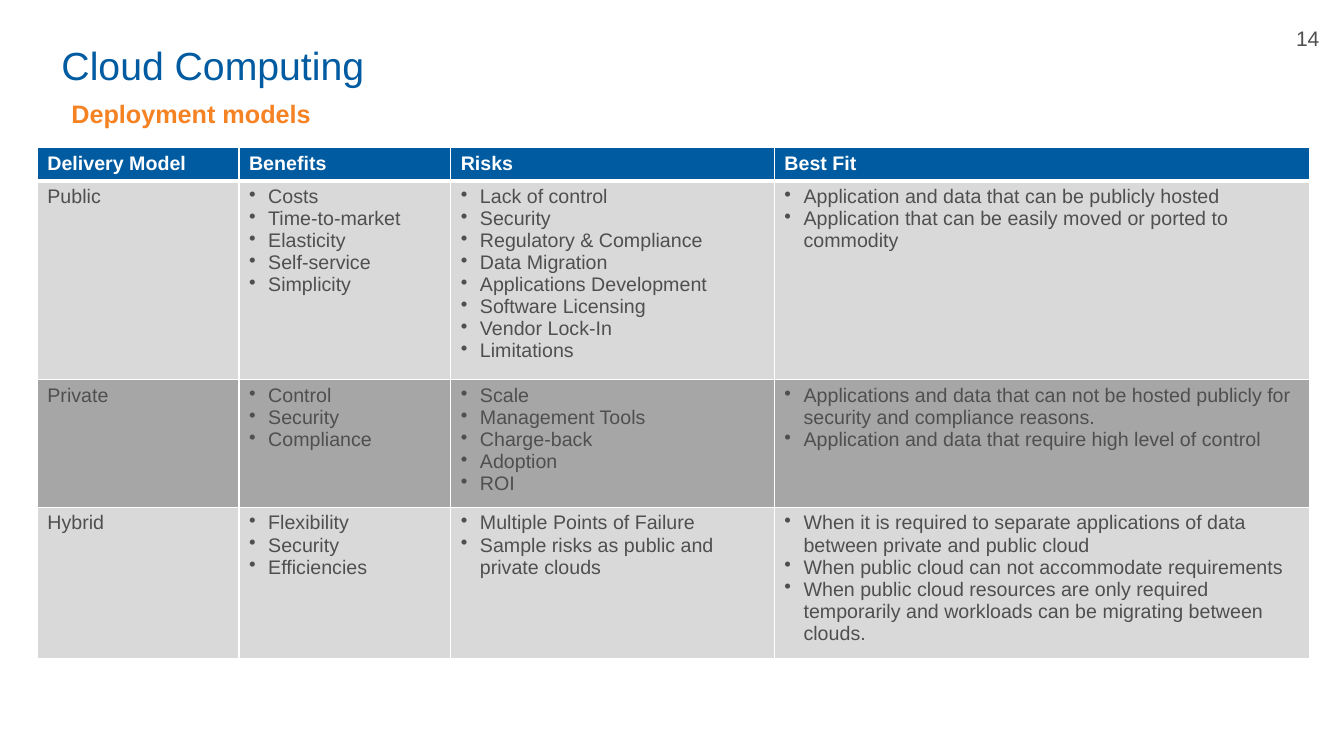
from dataclasses import dataclass

from lxml.etree import SubElement
from pptx import Presentation
from pptx.dml.color import RGBColor
from pptx.enum.text import MSO_ANCHOR as Anchor, MSO_AUTO_SIZE as AutoSize, PP_ALIGN as Align
from pptx.oxml.ns import qn
from pptx.util import Inches, Pt


@dataclass(frozen=True)
class Theme:
    font: str = "Arial"
    blue: str = "005BA1"
    orange: str = "F58223"
    text: str = "4F4F4F"
    white: str = "FFFFFF"
    light_band: str = "D9D9D9"
    dark_band: str = "A6A6A6"
    title_size: int = 28
    subtitle_size: int = 18
    number_size: int = 15
    table_size: int = 14
    thin_border: int = 1
    header_border: int = 3
    bullet_indent: float = 0.19


theme = Theme()


def style_paragraph(paragraph, size, color, bold=False, align=Align.LEFT):
    paragraph.alignment = align
    font = paragraph.font
    font.name, font.size, font.bold = theme.font, Pt(size), bold
    font.color.rgb = RGBColor.from_string(color)


def draw_border(cell, side, width):
    line = SubElement(cell._tc.get_or_add_tcPr(), qn(f"a:ln{side}"), w=str(Pt(width)))
    fill = SubElement(line, qn("a:solidFill"))
    SubElement(fill, qn("a:srgbClr"), val=theme.white)


# Slide
presentation = Presentation()
presentation.slide_width, presentation.slide_height = Inches(13.33), Inches(7.5)
slide = presentation.slides.add_slide(presentation.slide_layouts[5])

# Title
title = slide.shapes.title
title.left, title.top, title.width, title.height = map(Inches, (0.51, 0.3, 10.89, 0.68))
title.text_frame.text = "Cloud Computing"
title.text_frame.auto_size = AutoSize.NONE
title.text_frame.vertical_anchor = Anchor.MIDDLE
style_paragraph(title.text_frame.paragraphs[0], theme.title_size, theme.blue)

# Page number and subtitle
labels = [
    ("14", (12.14, 0.2, 1.66, 0.35), theme.number_size, theme.text, False, Align.CENTER),
    ("Deployment models", (0.61, 0.93, 11.35, 0.4),
     theme.subtitle_size, theme.orange, True, Align.LEFT),
]
for text, box, size, color, bold, align in labels:
    frame = slide.shapes.add_textbox(*map(Inches, box)).text_frame
    frame.word_wrap = True
    frame.text = text
    style_paragraph(frame.paragraphs[0], size, color, bold, align)

# Table content: a list in a cell becomes bullets
rows = [
    ["Delivery Model", "Benefits", "Risks", "Best Fit"],
    ["Public",
     ["Costs", "Time-to-market", "Elasticity", "Self-service", "Simplicity"],
     ["Lack of control", "Security", "Regulatory & Compliance", "Data Migration",
      "Applications Development", "Software Licensing", "Vendor Lock-In", "Limitations"],
     ["Application and data that can be publicly hosted",
      "Application that can be easily moved or ported to commodity"]],
    ["Private",
     ["Control", "Security", "Compliance"],
     ["Scale", "Management Tools", "Charge-back", "Adoption", "ROI"],
     ["Applications and data that can not be hosted publicly for security "
      "and compliance reasons.",
      "Application and data that require high level of control"]],
    ["Hybrid",
     ["Flexibility", "Security", "Efficiencies"],
     ["Multiple Points of Failure", "Sample risks as public and private clouds"],
     ["When it is required to separate applications of data between private "
      "and public cloud",
      "When public cloud can not accommodate requirements",
      "When public cloud resources are only required temporarily and workloads "
      "can be migrating between clouds."]],
]
column_widths = [2, 2.1, 3.21, 5.31]
row_heights = [0.33, 1.97, 1.26, 1.5]

# Table grid
table = slide.shapes.add_table(
    len(rows), len(column_widths), Inches(0.37), Inches(1.46),
    Inches(sum(column_widths)), Inches(sum(row_heights))).table
for column, width in zip(table.columns, column_widths):
    column.width = Inches(width)
for row, height in zip(table.rows, row_heights):
    row.height = Inches(height)

# Table cells
for row_index, row in enumerate(rows):
    is_header = row_index == 0
    band = theme.light_band if row_index % 2 else theme.dark_band
    for column_index, content in enumerate(row):
        cell = table.cell(row_index, column_index)
        is_list = isinstance(content, list)
        cell.text = "\n".join(content) if is_list else content
        for paragraph in cell.text_frame.paragraphs:
            style_paragraph(paragraph, theme.table_size,
                            theme.white if is_header else theme.text, is_header)
            if is_list:
                properties = paragraph._p.get_or_add_pPr()
                indent = Inches(theme.bullet_indent)
                properties.set("marL", str(indent))
                properties.set("indent", str(-indent))
                bullet = properties.makeelement(qn("a:buChar"), {"char": "•"})
                properties.insert(0, bullet)

        # The rule under the header is thicker than the others
        for side in "LRTB":
            under_header = (row_index, side) in [(0, "B"), (1, "T")]
            draw_border(cell, side, theme.header_border if under_header else theme.thin_border)
        cell.fill.solid()
        cell.fill.fore_color.rgb = RGBColor.from_string(theme.blue if is_header else band)

presentation.save("out.pptx")
